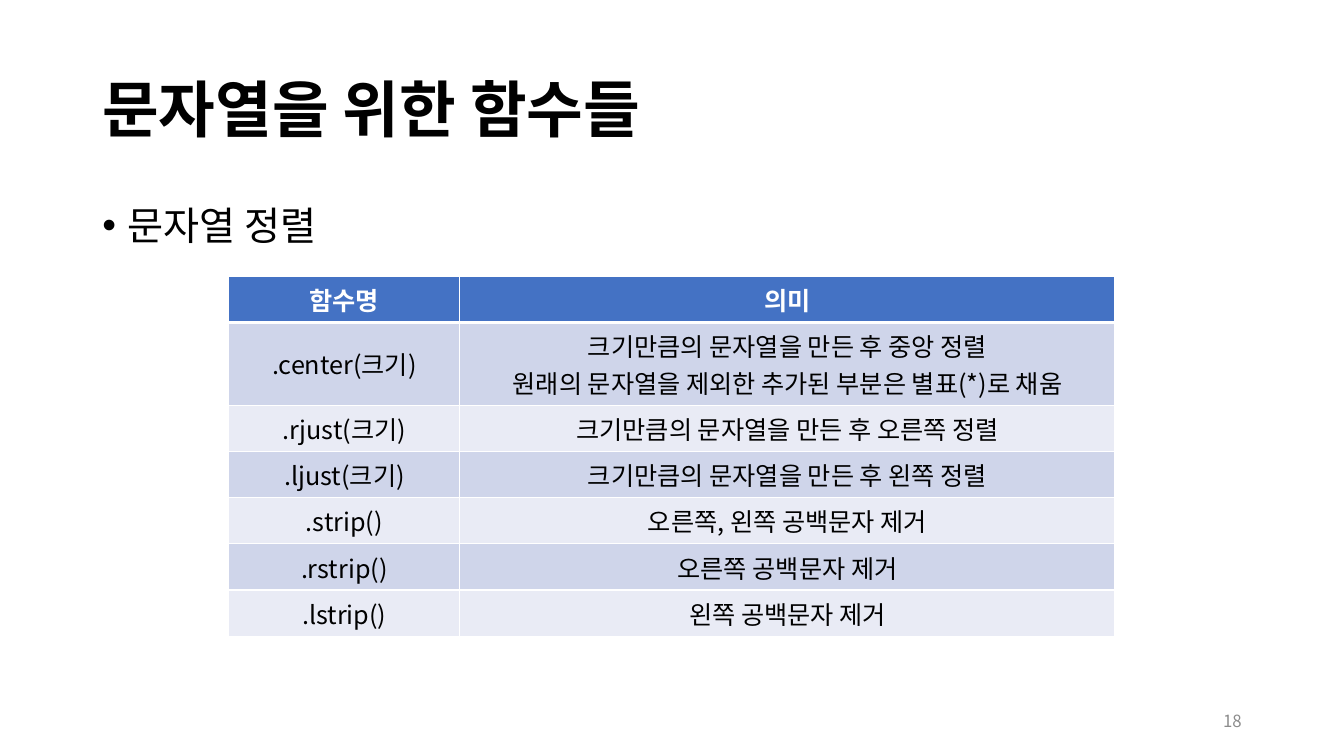
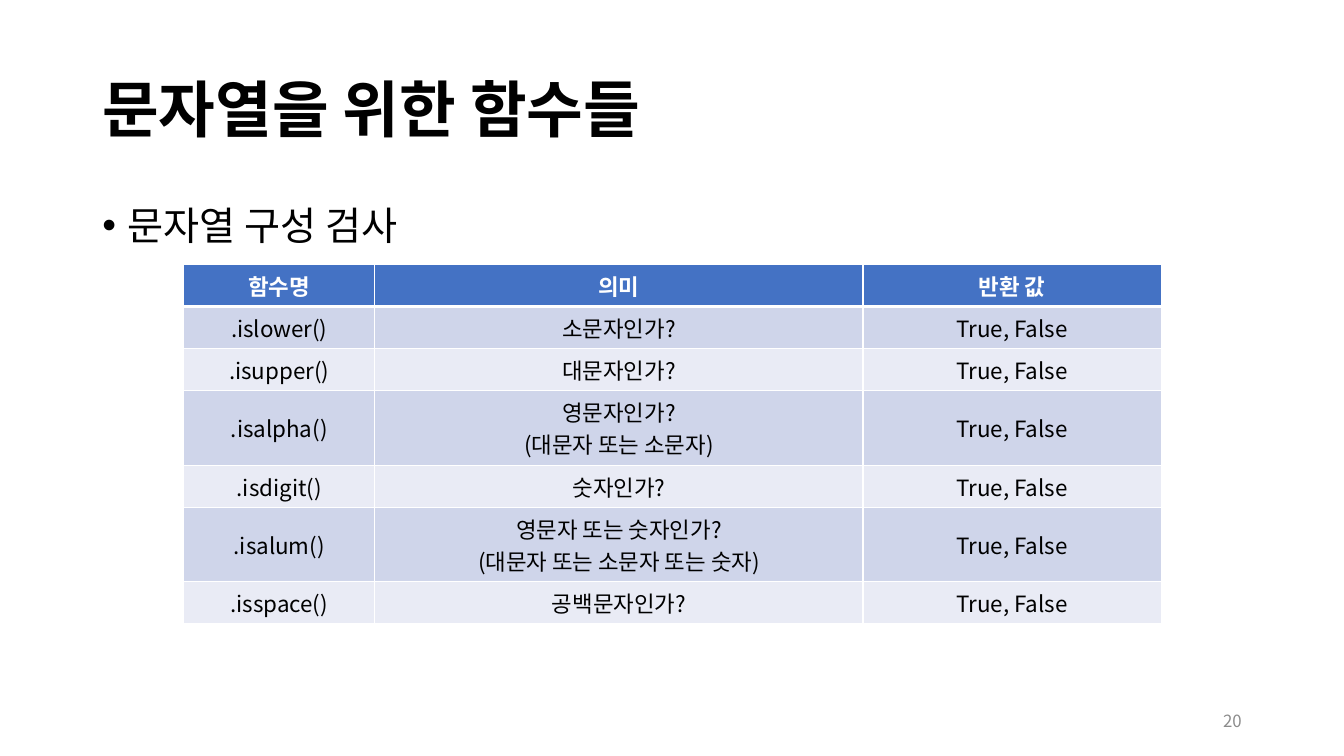
from dataclasses import dataclass
from lxml.etree import SubElement as Sub
from pptx import Presentation as Deck
from pptx.dml.color import RGBColor as RGB
from pptx.enum.text import MSO_ANCHOR as Anchor, PP_ALIGN as Align
from pptx.oxml.ns import qn
from pptx.util import Pt

PX = 9525
HEAD = "문자열을 위한 함수들"


@dataclass(frozen=True)
class Theme:
    """Colours and type sizes of the deck."""
    font: str = "Noto Sans CJK KR"
    ink: str = "000000"
    paper: str = "FFFFFF"
    grey: str = "8C8C8C"
    blue: str = "4472C4"
    bands: tuple = ("CFD5EA", "E9EBF5")
    title: int = 44
    body: int = 28
    cell: int = 18
    small: int = 16
    page: int = 12
    thin: int = 1
    thick: int = 3


def write(frame, text, *, font, size, color, bold=False, align=Align.LEFT,
          anchor=Anchor.MIDDLE, line=None, before=None, bullet=None):
    """Fill a text frame, one paragraph a line."""
    frame.word_wrap = True
    frame.vertical_anchor = anchor
    for n, part in enumerate(text.split("\n")):
        para = frame.add_paragraph() if n else frame.paragraphs[0]
        para.alignment = align
        if line:
            para.line_spacing = line
        if before:
            para.space_before = Pt(before)
        if bullet:
            props = para._p.get_or_add_pPr()
            props.set("marL", str(24 * PX))
            props.set("indent", str(-24 * PX))
            Sub(props, qn("a:buFont"), typeface="Arial")
            Sub(props, qn("a:buChar"), char=bullet)
        run = para.add_run()
        run.text = part
        face = run.font
        face.name, face.size, face.bold = font, Pt(size), bold
        face.color.rgb = RGB.from_string(color)
        Sub(face._element, qn("a:ea"), typeface=font)


class Pen:
    """Draws styled elements on the current slide."""

    def __init__(self, deck, theme):
        """Keep the deck and its style."""
        self.deck, self.theme, self.slide = deck, theme, None

    def text(self, box, text, **form):
        """Add a text box."""
        shape = self.slide.shapes.add_textbox(*(n * PX for n in box))
        write(shape.text_frame, text, font=self.theme.font, **form)

    def start(self, topic, page):
        """Add a slide with its title, topic and number."""
        look = self.theme
        self.slide = self.deck.slides.add_slide(self.deck.slide_layouts[6])
        self.text((88, 38, 1104, 139), HEAD, size=look.title,
                  color=look.ink, bold=True, line=0.9)
        self.text((904, 667, 288, 38), str(page), size=look.page,
                  color=look.grey, align=Align.RIGHT)
        self.text((88, 192, 1104, 457), topic, size=look.body,
                  color=look.ink, anchor=Anchor.TOP, line=0.9, before=10,
                  bullet="•")

    def edge(self, cell, side, width):
        """Rule one side of a cell."""
        line = Sub(cell._tc.get_or_add_tcPr(), qn(f"a:ln{side}"),
                   w=str(Pt(width)))
        fill = Sub(line, qn("a:solidFill"))
        Sub(fill, qn("a:srgbClr"), val=self.theme.paper)

    def table(self, left, top, cols, rows, size, short, tall):
        """Add a banded table, with tall rows for two-line cells."""
        look = self.theme
        highs = [tall if any("\n" in t for t in row) else short
                 for row in rows]
        grid = self.slide.shapes.add_table(
            len(rows), len(cols), left * PX, top * PX,
            sum(cols) * PX, sum(highs) * PX).table
        for col, wide in zip(grid.columns, cols):
            col.width = wide * PX
        for r, (row, high) in enumerate(zip(rows, highs)):
            grid.rows[r].height = high * PX
            head = r == 0
            for c, text in enumerate(row):
                cell = grid.cell(r, c)
                self.edge(cell, "L", look.thin)
                self.edge(cell, "R", look.thin)
                self.edge(cell, "T", look.thick if r == 1 else look.thin)
                self.edge(cell, "B", look.thick if head else look.thin)
                cell.fill.solid()
                cell.fill.fore_color.rgb = RGB.from_string(
                    look.blue if head else look.bands[(r - 1) % 2])
                write(cell.text_frame, text, font=look.font, size=size,
                      color=look.paper if head else look.ink, bold=head,
                      align=Align.CENTER)
                cell.vertical_anchor = Anchor.MIDDLE


ALIGNS = [
    ("함수명", "의미"),
    (".center(크기)", "크기만큼의 문자열을 만든 후 중앙 정렬\n"
     "원래의 문자열을 제외한 추가된 부분은 별표(*)로 채움"),
    (".rjust(크기)", "크기만큼의 문자열을 만든 후 오른쪽 정렬"),
    (".ljust(크기)", "크기만큼의 문자열을 만든 후 왼쪽 정렬"),
    (".strip()", "오른쪽, 왼쪽 공백문자 제거"),
    (".rstrip()", "오른쪽 공백문자 제거"),
    (".lstrip()", "왼쪽 공백문자 제거"),
]
TESTS = [
    (".islower()", "소문자인가?"),
    (".isupper()", "대문자인가?"),
    (".isalpha()", "영문자인가?\n(대문자 또는 소문자)"),
    (".isdigit()", "숫자인가?"),
    (".isalum()", "영문자 또는 숫자인가?\n(대문자 또는 소문자 또는 숫자)"),
    (".isspace()", "공백문자인가?"),
]


def main():
    """Build and save the deck."""
    deck = Deck()
    deck.slide_width, deck.slide_height = 1280 * PX, 720 * PX
    look = Theme()
    pen = Pen(deck, look)
    pen.start("문자열 정렬", 18)
    pen.table(218, 263, (220, 624), ALIGNS, look.cell, 44, 79)
    pen.start("문자열 구성 검사", 20)
    rows = [("함수명", "의미", "반환 값")]
    rows += [(*test, "True, False") for test in TESTS]
    pen.table(175, 252, (182, 465, 284), rows, look.small, 40, 71)
    deck.save("out.pptx")


if __name__ == "__main__":
    main()
